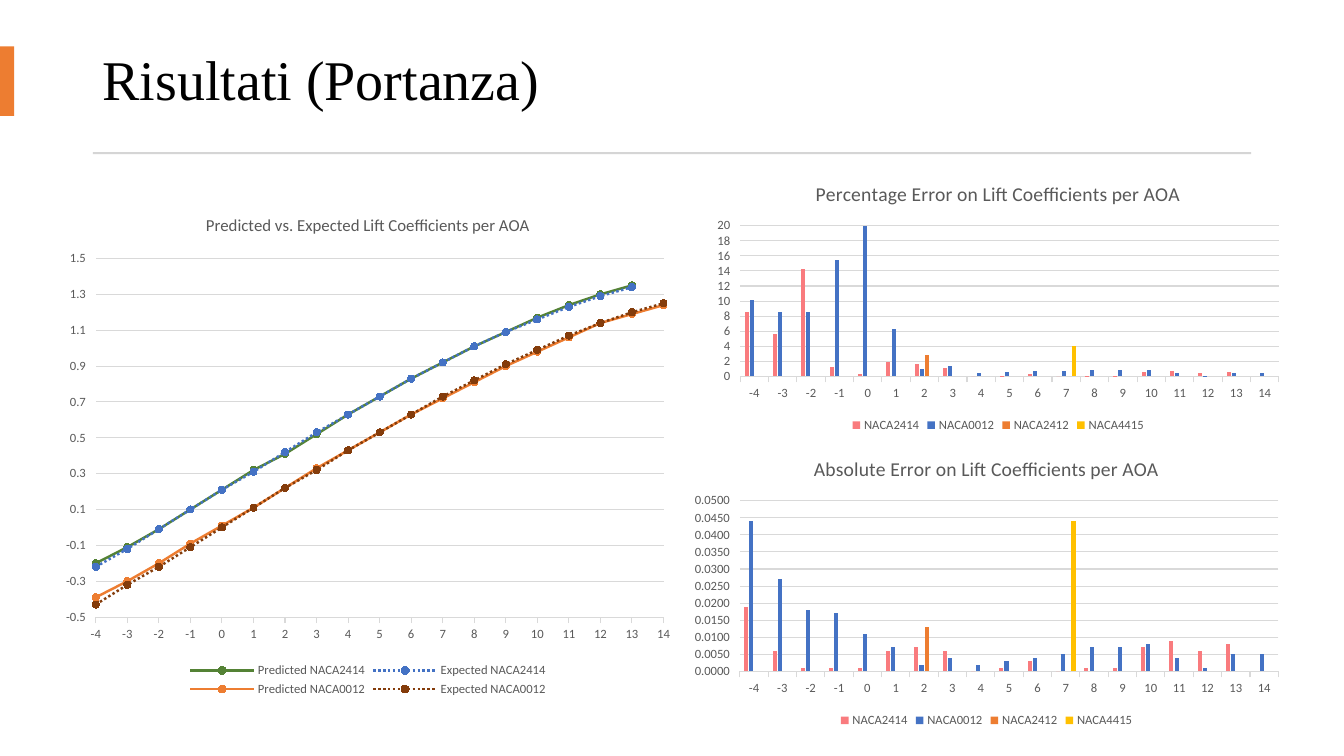
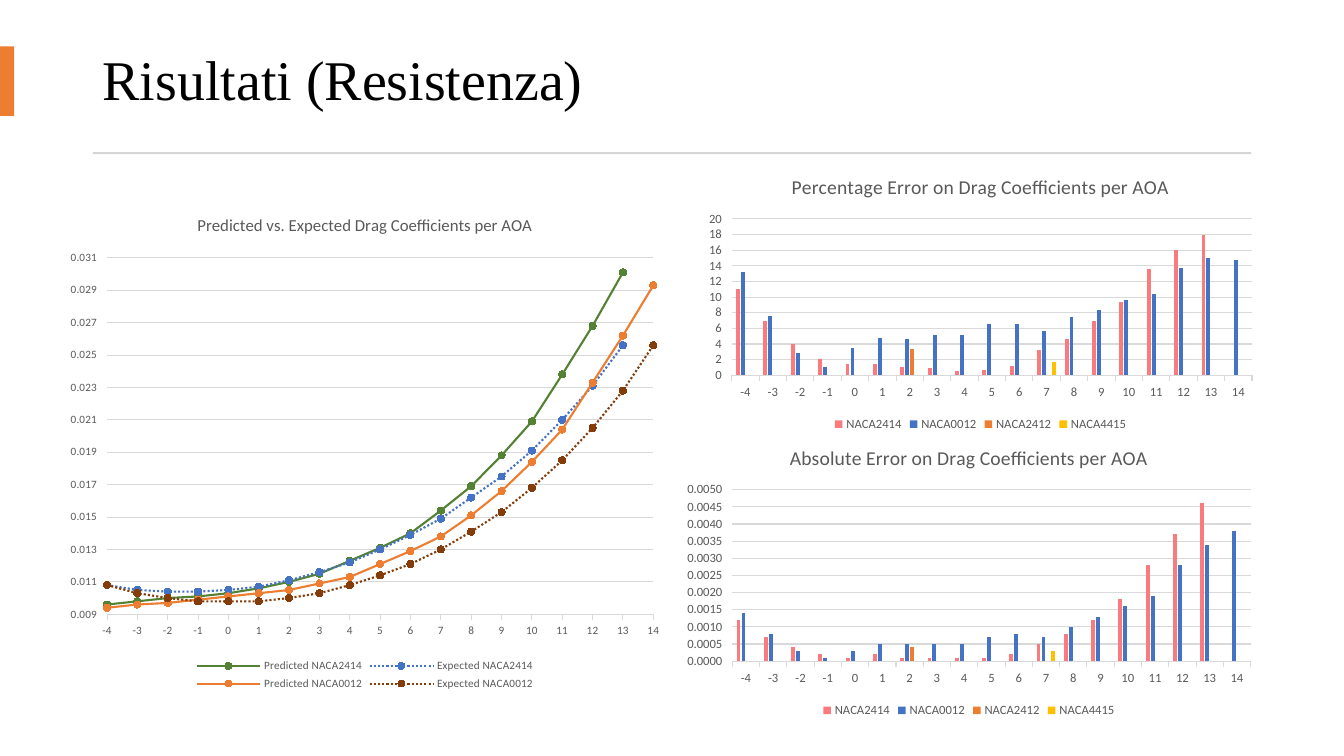
from pptx import Presentation
from pptx.chart.data import CategoryChartData
from pptx.dml.color import RGBColor
from pptx.enum.chart import XL_AXIS_CROSSES as CROSSES
from pptx.enum.chart import XL_CHART_TYPE as CHART
from pptx.enum.chart import XL_LEGEND_POSITION as LEGEND
from pptx.enum.chart import XL_MARKER_STYLE as MARKER
from pptx.enum.chart import XL_TICK_LABEL_POSITION as LABELS
from pptx.enum.chart import XL_TICK_MARK as TICK
from pptx.enum.dml import MSO_LINE
from pptx.enum.shapes import MSO_SHAPE
from pptx.enum.text import MSO_ANCHOR
from pptx.oxml.ns import qn
from pptx.oxml.xmlchemy import OxmlElement
from pptx.util import Inches, Pt

BLACK = RGBColor(0x00, 0x00, 0x00)
GREY = RGBColor(0x59, 0x59, 0x59)
GRID = RGBColor(0xD9, 0xD9, 0xD9)
RULE = RGBColor(0xD5, 0xD5, 0xD5)
ORANGE = RGBColor(0xED, 0x7D, 0x31)
BLUE = RGBColor(0x44, 0x72, 0xC4)
GREEN = RGBColor(0x54, 0x82, 0x35)
BROWN = RGBColor(0x84, 0x3C, 0x0B)
PINK = RGBColor(0xF9, 0x7B, 0x7E)
YELLOW = RGBColor(0xFF, 0xC0, 0x00)

ANGLES = [str(a) for a in range(-4, 15)]
CURVES = [("Predicted NACA2414", GREEN), ("Expected NACA2414", BLUE),
          ("Predicted NACA0012", ORANGE), ("Expected NACA0012", BROWN)]
BARS = [("NACA2414", PINK), ("NACA0012", BLUE),
        ("NACA2412", ORANGE), ("NACA4415", YELLOW)]


def add_base(slide):
    for box, color in (((0, 0.46, 0.14, 0.69), ORANGE),
                       ((0.92, 1.51, 11.49, 0.02), RULE)):
        sp = slide.shapes.add_shape(MSO_SHAPE.RECTANGLE, *map(Inches, box))
        sp.shadow.inherit = False
        sp.fill.solid()
        sp.fill.fore_color.rgb = color
        sp.line.fill.background()


def add_graph(slide, kind, box, title, title_size, size, fmt, scale, names, values):
    data = CategoryChartData()
    data.categories = ANGLES
    for (name, _), vals in zip(names, values):
        data.add_series(name, vals)
    chart = slide.shapes.add_chart(kind, *map(Inches, box), data).chart
    chart.font.name = "Calibri"
    chart.font.size = Pt(size)
    chart.font.color.rgb = GREY

    chart.has_title = True
    tf = chart.chart_title.text_frame
    tf.text = title
    font = tf.paragraphs[0].runs[0].font
    font.name, font.size, font.bold = "Calibri", Pt(title_size), False
    font.color.rgb = GREY
    chart.has_legend = True
    chart.legend.position = LEGEND.BOTTOM
    chart.legend.include_in_layout = False

    cat, val = chart.category_axis, chart.value_axis
    cat.major_tick_mark = val.major_tick_mark = TICK.OUTSIDE
    cat.tick_label_position = LABELS.LOW
    cat.format.line.color.rgb = GRID
    cat.format.line.width = Pt(0.75)
    val.minimum_scale, val.maximum_scale, val.major_unit = scale
    val.crosses = CROSSES.MINIMUM
    val.tick_labels.number_format = fmt
    val.tick_labels.number_format_is_linked = False
    val.format.line.fill.background()
    val.has_major_gridlines = True
    val.major_gridlines.format.line.color.rgb = GRID
    val.major_gridlines.format.line.width = Pt(0.75)
    return chart


lift_curves = [
    [-0.2, -0.11, -0.01, 0.1, 0.21, 0.32, 0.41, 0.52, 0.63, 0.73,
     0.83, 0.92, 1.01, 1.09, 1.17, 1.24, 1.3, 1.35],
    [-0.22, -0.12, -0.01, 0.1, 0.21, 0.31, 0.42, 0.53, 0.63, 0.73,
     0.83, 0.92, 1.01, 1.09, 1.16, 1.23, 1.29, 1.34],
    [-0.39, -0.3, -0.2, -0.09, 0.01, 0.11, 0.22, 0.33, 0.43, 0.53,
     0.63, 0.72, 0.81, 0.9, 0.98, 1.06, 1.14, 1.19, 1.24],
    [-0.43, -0.32, -0.22, -0.11, 0, 0.11, 0.22, 0.32, 0.43, 0.53,
     0.63, 0.73, 0.82, 0.91, 0.99, 1.07, 1.14, 1.2, 1.25],
]
lift_percent = [
    [8.5, 5.6, 14.3, 1.3, 0.3, 1.9, 1.7, 1.1, 0, 0.1,
     0.3, 0, 0.1, 0.1, 0.6, 0.7, 0.5, 0.6],
    [10.2, 8.5, 8.5, 15.4, 6266.3, 6.3, 1, 1.4, 0.4, 0.6,
     0.7, 0.7, 0.8, 0.8, 0.8, 0.4, 0.1, 0.4, 0.4],
    [None] * 6 + [2.9],
    [None] * 11 + [4],
]
lift_absolute = [
    [0.019, 0.006, 0.001, 0.001, 0.001, 0.006, 0.007, 0.006, 0, 0.001,
     0.003, 0, 0.001, 0.001, 0.007, 0.009, 0.006, 0.008],
    [0.044, 0.027, 0.018, 0.017, 0.011, 0.007, 0.002, 0.004, 0.002, 0.003,
     0.004, 0.005, 0.007, 0.007, 0.008, 0.004, 0.001, 0.005, 0.005],
    [None] * 6 + [0.013],
    [None] * 11 + [0.044],
]
drag_curves = [
    [0.0096, 0.0098, 0.01, 0.0101, 0.0103, 0.0106, 0.011, 0.0115, 0.0123, 0.0131,
     0.014, 0.0154, 0.0169, 0.0188, 0.0209, 0.0238, 0.0268, 0.0301],
    [0.0108, 0.0105, 0.0104, 0.0104, 0.0105, 0.0107, 0.0111, 0.0116, 0.0122, 0.013,
     0.0139, 0.0149, 0.0162, 0.0175, 0.0191, 0.021, 0.0231, 0.0256],
    [0.0094, 0.0096, 0.0097, 0.0099, 0.0101, 0.0103, 0.0105, 0.0109, 0.0113, 0.0121,
     0.0129, 0.0138, 0.0151, 0.0166, 0.0184, 0.0204, 0.0233, 0.0262, 0.0293],
    [0.0108, 0.0103, 0.01, 0.0098, 0.0098, 0.0098, 0.01, 0.0103, 0.0108, 0.0114,
     0.0121, 0.013, 0.0141, 0.0153, 0.0168, 0.0185, 0.0205, 0.0228, 0.0256],
]
drag_percent = [
    [11, 7, 4, 2.1, 1.4, 1.4, 1.1, 0.9, 0.5, 0.7,
     1.2, 3.2, 4.7, 6.9, 9.4, 13.6, 16, 17.9],
    [13.2, 7.6, 2.8, 1, 3.5, 4.8, 4.7, 5.2, 5.1, 6.5,
     6.6, 5.7, 7.4, 8.4, 9.6, 10.4, 13.7, 15, 14.7],
    [None] * 6 + [3.3],
    [None] * 11 + [1.7],
]
drag_absolute = [
    [0.0012, 0.0007, 0.0004, 0.0002, 0.0001, 0.0002, 0.0001, 0.0001, 0.0001, 0.0001,
     0.0002, 0.0005, 0.0008, 0.0012, 0.0018, 0.0028, 0.0037, 0.0046],
    [0.0014, 0.0008, 0.0003, 0.0001, 0.0003, 0.0005, 0.0005, 0.0005, 0.0005, 0.0007,
     0.0008, 0.0007, 0.001, 0.0013, 0.0016, 0.0019, 0.0028, 0.0034, 0.0038],
    [None] * 6 + [0.0004],
    [None] * 11 + [0.0003],
]

pages = [
    ("Risultati (Portanza)", "Lift",
     ((0.53, 1.94, 6.24, 5.01), 9, "#,##0.0", (-0.5, 1.5, 0.2), 1.75, lift_curves),
     [("Percentage", (7, 1.65, 5.8, 2.68), "#,##0", (0, 20, 2), lift_percent),
      ("Absolute", (6.77, 4.37, 6.03, 2.89), "0.0000", (0, 0.05, 0.005), lift_absolute)]),
    ("Risultati (Resistenza)", "Drag",
     ((0.58, 1.94, 6.08, 4.95), 8, "#,##0.000", (0.009, 0.031, 0.002), 1.5, drag_curves),
     [("Percentage", (6.92, 1.58, 5.61, 2.74), "#,##0", (0, 20, 2), drag_percent),
      ("Absolute", (6.7, 4.26, 5.82, 2.9), "0.0000", (0, 0.005, 0.0005), drag_absolute)]),
]

prs = Presentation()
prs.slide_width, prs.slide_height = Inches(13.33), Inches(7.5)

for heading, force, curves, errors in pages:
    s = prs.slides.add_slide(prs.slide_layouts[6])
    add_base(s)
    tf = s.shapes.add_textbox(Inches(0.92), Inches(0.27), Inches(11.49), Inches(1.1)).text_frame
    tf.word_wrap = True
    tf.vertical_anchor = MSO_ANCHOR.MIDDLE
    p = tf.paragraphs[0]
    p.text = heading
    p.line_spacing = 0.9
    r = p.runs[0]
    r.font.name, r.font.size = "Times New Roman", Pt(40)
    r.font.color.rgb = BLACK

    box, size, fmt, scale, width, values = curves
    chart = add_graph(s, CHART.LINE_MARKERS, box,
                      f"Predicted vs. Expected {force} Coefficients per AOA",
                      12, size, fmt, scale, CURVES, values)
    axis = chart.value_axis._element
    for old in axis.findall(qn("c:crossBetween")):
        axis.remove(old)
    between = OxmlElement("c:crossBetween")
    between.set("val", "midCat")
    axis.find(qn("c:crosses")).addnext(between)
    for series, (name, color) in zip(chart.plots[0].series, CURVES):
        series.smooth = False
        line = series.format.line
        line.color.rgb = color
        line.width = Pt(width)
        if name.startswith("Expected"):
            line.dash_style = MSO_LINE.ROUND_DOT
        marker = series.marker
        marker.style, marker.size = MARKER.CIRCLE, 5
        marker.format.fill.solid()
        marker.format.fill.fore_color.rgb = color
        marker.format.line.color.rgb = color

    for error, box, fmt, scale, values in errors:
        chart = add_graph(s, CHART.COLUMN_CLUSTERED, box,
                          f"{error} Error on {force} Coefficients per AOA",
                          14, 9, fmt, scale, BARS, values)
        plot = chart.plots[0]
        plot.vary_by_categories = False
        plot.gap_width, plot.overlap = 219, -27
        for series, (_, color) in zip(plot.series, BARS):
            series.format.fill.solid()
            series.format.fill.fore_color.rgb = color

prs.save("out.pptx")
